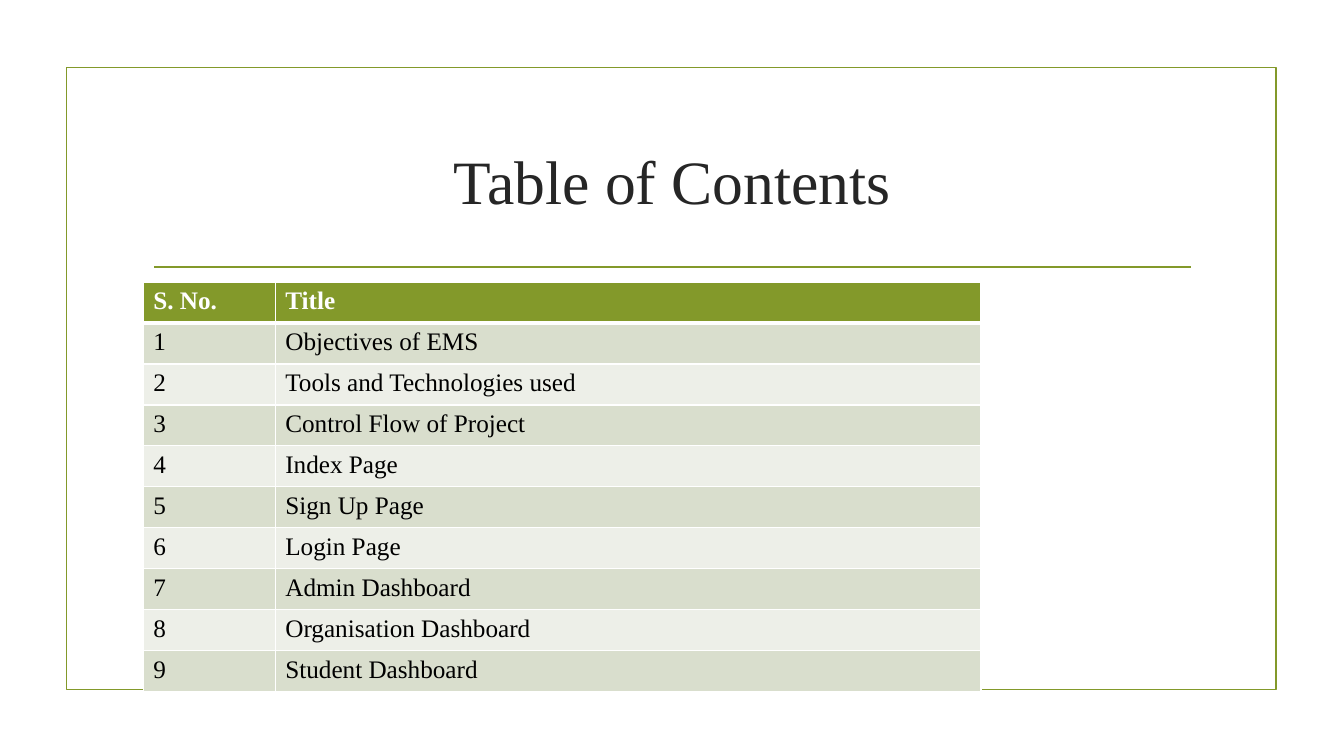
from dataclasses import dataclass

from lxml import etree
from pptx import Presentation
from pptx.dml.color import RGBColor
from pptx.enum import shapes, text
from pptx.oxml import ns
from pptx.util import Inches, Pt


@dataclass(frozen=True)
class Theme:
    font: str = "Times New Roman"
    green: str = "83992A"
    dark: str = "262626"
    black: str = "000000"
    white: str = "FFFFFF"
    bands: tuple = ("D9DECD", "EDEFE8")
    title: int = 44
    body: int = 18
    line: float = 1.25
    thin: int = 1
    thick: int = 3


THEME = Theme()
TOPICS = [
    "Objectives of EMS",
    "Tools and Technologies used",
    "Control Flow of Project",
    "Index Page",
    "Sign Up Page",
    "Login Page",
    "Admin Dashboard",
    "Organisation Dashboard",
    "Student Dashboard",
]


def rgb(code):
    return RGBColor.from_string(code)


def set_font(para, size, color, bold=False):
    font = para.font
    font.name, font.size, font.bold = THEME.font, Pt(size), bold
    font.color.rgb = rgb(color)


def set_line(line):
    line.color.rgb = rgb(THEME.green)
    line.width = Pt(THEME.line)


def add_frame(slide, left, top, width, height):
    frame = slide.shapes.add_shape(
        shapes.MSO_SHAPE.RECTANGLE,
        Inches(left), Inches(top), Inches(width), Inches(height))
    frame.shadow.inherit = False
    frame.fill.background()
    set_line(frame.line)


def add_rule(slide, left, right, y):
    rule = slide.shapes.add_connector(
        shapes.MSO_CONNECTOR.STRAIGHT,
        Inches(left), Inches(y), Inches(right), Inches(y))
    set_line(rule.line)
    etree.SubElement(rule._element.spPr, ns.qn("a:effectLst"))


def add_title(slide, words, left, top, width, height):
    box = slide.shapes.add_textbox(
        Inches(left), Inches(top), Inches(width), Inches(height))
    frame = box.text_frame
    frame.word_wrap = True
    frame.vertical_anchor = text.MSO_ANCHOR.MIDDLE
    para = frame.paragraphs[0]
    para.text = words
    para.alignment = text.PP_ALIGN.CENTER
    set_font(para, THEME.title, THEME.dark)


def set_border(cell, side, width):
    props = cell._tc.get_or_add_tcPr()
    line = etree.SubElement(props, ns.qn(f"a:ln{side}"), w=str(Pt(width)))
    fill = etree.SubElement(line, ns.qn("a:solidFill"))
    etree.SubElement(fill, ns.qn("a:srgbClr"), val=THEME.white)


def style_cell(cell, row):
    """Style a cell as header (row 0) or banded body, borders before fill."""
    head = row == 0
    thick = {0: "B", 1: "T"}.get(row)
    for side in "LRTB":
        set_border(cell, side, THEME.thick if side == thick else THEME.thin)
    cell.fill.solid()
    cell.fill.fore_color.rgb = rgb(
        THEME.green if head else THEME.bands[(row - 1) % 2])
    set_font(cell.text_frame.paragraphs[0], THEME.body,
             THEME.white if head else THEME.black, head)


def add_grid(slide, rows, widths, left, top, height):
    table = slide.shapes.add_table(
        len(rows), len(widths), Inches(left), Inches(top),
        Inches(sum(widths)), Inches(height)).table
    for col, width in zip(table.columns, widths):
        col.width = Inches(width)
    for r, row in enumerate(rows):
        for c, words in enumerate(row):
            cell = table.cell(r, c)
            cell.text = words
            style_cell(cell, r)


def main():
    deck = Presentation()
    deck.slide_width, deck.slide_height = Inches(13.33), Inches(7.5)
    slide = deck.slides.add_slide(deck.slide_layouts[6])
    add_frame(slide, 0.66, 0.67, 12, 6.17)
    add_rule(slide, 1.53, 11.81, 2.65)
    add_title(slide, "Table of Contents", 1.42, 1.07, 10.5, 1.43)
    rows = [("S. No.", "Title")]
    rows += [(str(n), topic) for n, topic in enumerate(TOPICS, 1)]
    add_grid(slide, rows, (1.31, 7), 1.42, 2.8, 4.06)
    deck.save("out.pptx")


if __name__ == "__main__":
    main()
